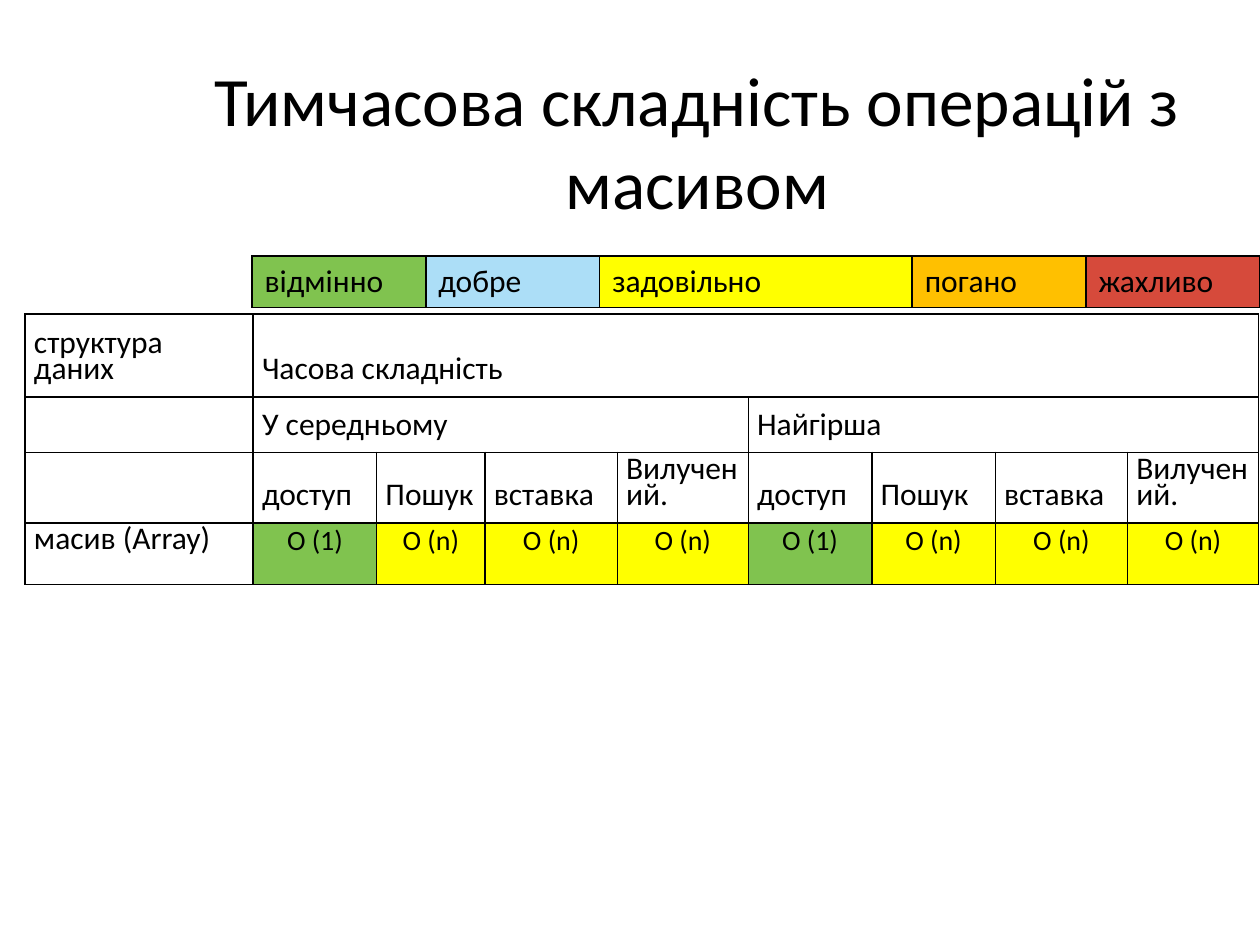
from dataclasses import dataclass
from typing import Optional

from lxml.etree import SubElement
from pptx import Presentation
from pptx.dml.color import RGBColor
from pptx.enum.text import MSO_ANCHOR as Anchor, PP_ALIGN as Align
from pptx.oxml.ns import qn
from pptx.util import Inches, Pt

COLORS = {
    "text": "000000",
    "excellent": "80C34F",
    "good": "ACDEF7",
    "fair": "FFFF00",
    "bad": "FFC000",
    "awful": "D64A3B",
}
FONT = "Calibri"


@dataclass
class Entry:
    """One table cell; span counts the columns it covers."""
    text: str
    column: int
    row: int = 0
    span: int = 1
    fill: Optional[str] = None
    size: float = 18
    align: Align = Align.LEFT
    anchor: Anchor = Anchor.TOP
    inset: Optional[float] = None
    leading: Optional[float] = None


def style_text(frame, size: float, align: Align, leading: Optional[float] = None) -> None:
    """Format every paragraph and run of a text frame."""
    for paragraph in frame.paragraphs:
        paragraph.alignment = align
        if leading:
            paragraph.line_spacing = Pt(leading)
        for run in paragraph.runs:
            run.font.name, run.font.size, run.font.bold = FONT, Pt(size), False
            run.font.color.rgb = RGBColor.from_string(COLORS["text"])


def add_borders(cell) -> None:
    """Give a cell thin black lines on all four sides."""
    properties = cell._tc.get_or_add_tcPr()
    for index, side in enumerate(("lnL", "lnR", "lnT", "lnB")):
        line = SubElement(properties, qn(f"a:{side}"), w=str(Pt(1)))
        fill = SubElement(line, qn("a:solidFill"))
        SubElement(fill, qn("a:srgbClr"), val=COLORS["text"])
        properties.insert(index, line)


def fill_cell(table, entry: Entry) -> None:
    """Write one entry into its cell, merging when it spans columns."""
    cell = table.cell(entry.row, entry.column)
    if entry.span > 1:
        cell.merge(table.cell(entry.row, entry.column + entry.span - 1))
    cell.text_frame.text = entry.text
    cell.vertical_anchor = entry.anchor
    if entry.inset is not None:
        cell.margin_left = cell.margin_right = Inches(entry.inset)
        cell.margin_top = cell.margin_bottom = Inches(entry.inset)
    if entry.fill:
        cell.fill.solid()
        cell.fill.fore_color.rgb = RGBColor.from_string(COLORS[entry.fill])
    style_text(cell.text_frame, entry.size, entry.align, entry.leading)


def add_grid(slide, left: float, top: float, widths: list[float],
             heights: list[float], entries: list[Entry]) -> None:
    """Draw a bordered table from column widths, row heights and entries."""
    table = slide.shapes.add_table(
        len(heights), len(widths), Inches(left), Inches(top),
        Inches(sum(widths)), Inches(sum(heights))).table
    table.first_row = table.horz_banding = False
    for column, width in zip(table.columns, widths):
        column.width = Inches(width)
    for row, height in zip(table.rows, heights):
        row.height = Inches(height)
    for cell in table.iter_cells():
        cell.fill.background()
        add_borders(cell)
    for entry in entries:
        fill_cell(table, entry)


def heading(text: str, row: int, column: int, span: int = 1) -> Entry:
    """Make a heading cell of the complexity table."""
    return Entry(text, column, row, span, anchor=Anchor.BOTTOM, inset=0.07, leading=15)


def cost(text: str, column: int, fill: str) -> Entry:
    """Make a rated cost cell of the complexity table."""
    return Entry(text, column, 3, fill=fill, size=16, align=Align.CENTER,
                 inset=0.07, leading=15)


def add_title(slide, text: str) -> None:
    """Place the centred slide title."""
    title = slide.shapes.add_textbox(Inches(1.07), Inches(0.36), Inches(8.93), Inches(1.51))
    frame = title.text_frame
    frame.word_wrap = True
    frame.vertical_anchor = Anchor.MIDDLE
    frame.text = text
    style_text(frame, 39.6, Align.CENTER)


deck = Presentation()
deck.slide_width, deck.slide_height = Inches(10), Inches(7.5)
slide = deck.slides.add_slide(deck.slide_layouts[6])
add_title(slide, "Тимчасова складність операцій з масивом")

ratings = [("відмінно", "excellent"), ("добре", "good"), ("задовільно", "fair"),
           ("погано", "bad"), ("жахливо", "awful")]
add_grid(slide, 2, 2.03, [1.38, 1.38, 2.48, 1.38, 1.38], [0.41],
         [Entry(text, column, fill=fill) for column, (text, fill) in enumerate(ratings)])

operations = [("доступ", "O (1)", "excellent"), ("Пошук", "O (n)", "fair"),
              ("вставка", "O (n)", "fair"), ("Вилучений.", "O (n)", "fair")]
complexity = [
    heading("структура\nданих", 0, 0),
    heading("Часова складність", 0, 1, 8),
    Entry("масив (Array)", 0, 3, inset=0.07, leading=15),
]
for case, case_name in enumerate(("У середньому", "Найгірша")):
    first = 1 + case * len(operations)
    complexity.append(heading(case_name, 1, first, len(operations)))
    for column, (operation, value, rating) in enumerate(operations, first):
        complexity += [heading(operation, 2, column), cost(value, column, rating)]
add_grid(slide, 0.2, 2.49, [1.81, 0.98, 0.86, 1.05, 1.04, 0.98, 0.98, 1.05, 1.04],
         [0.66, 0.44, 0.56, 0.49], complexity)

deck.save("out.pptx")
